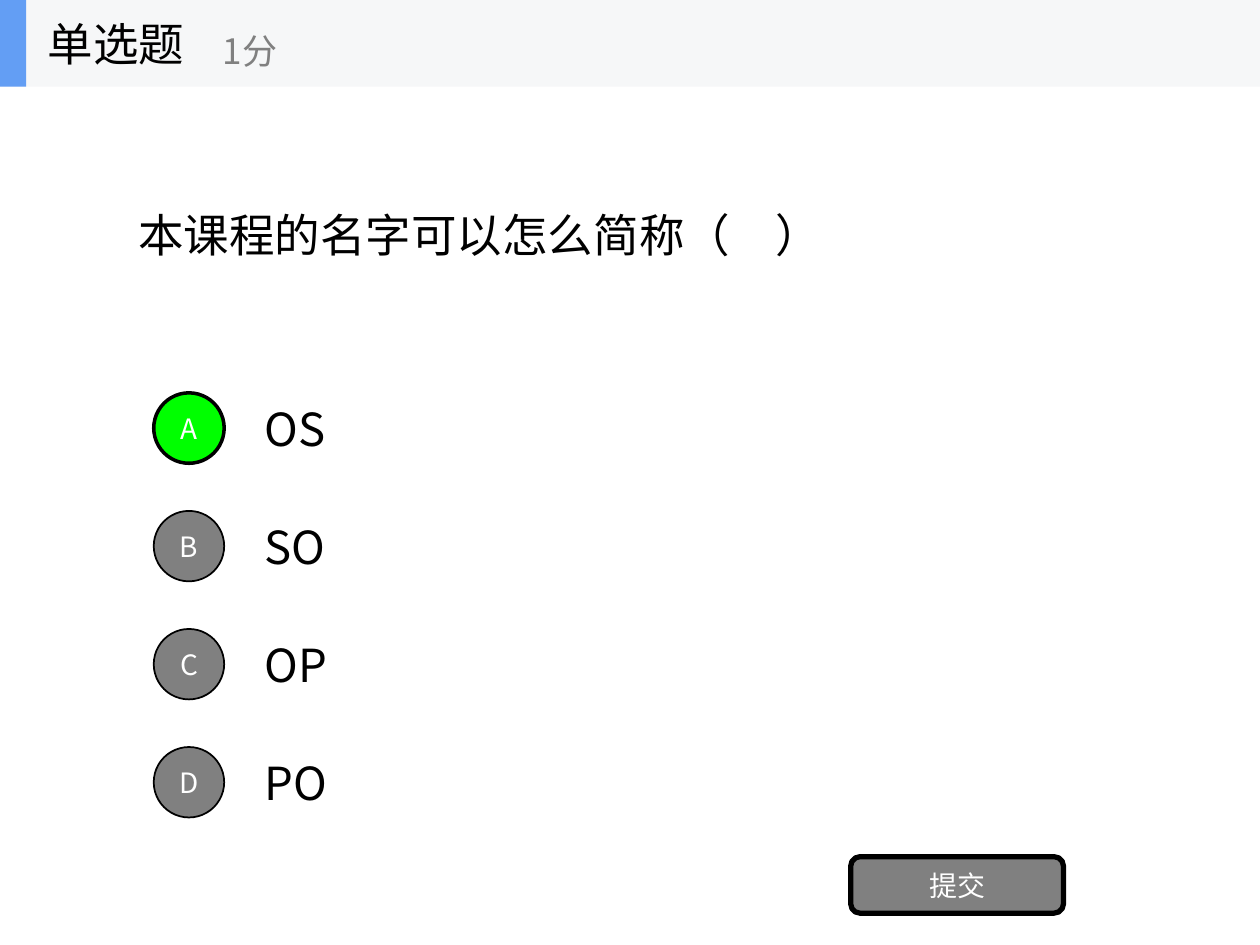
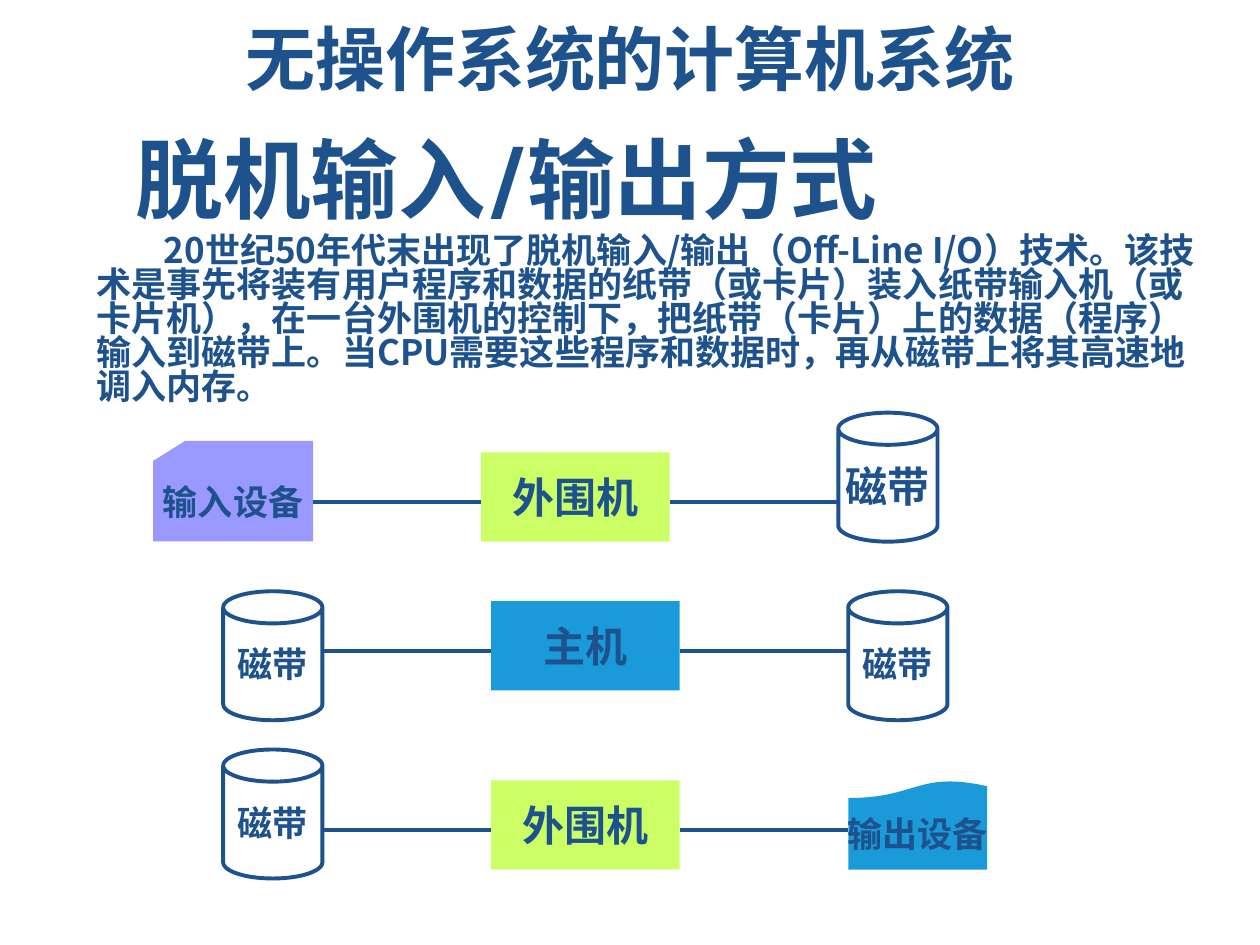
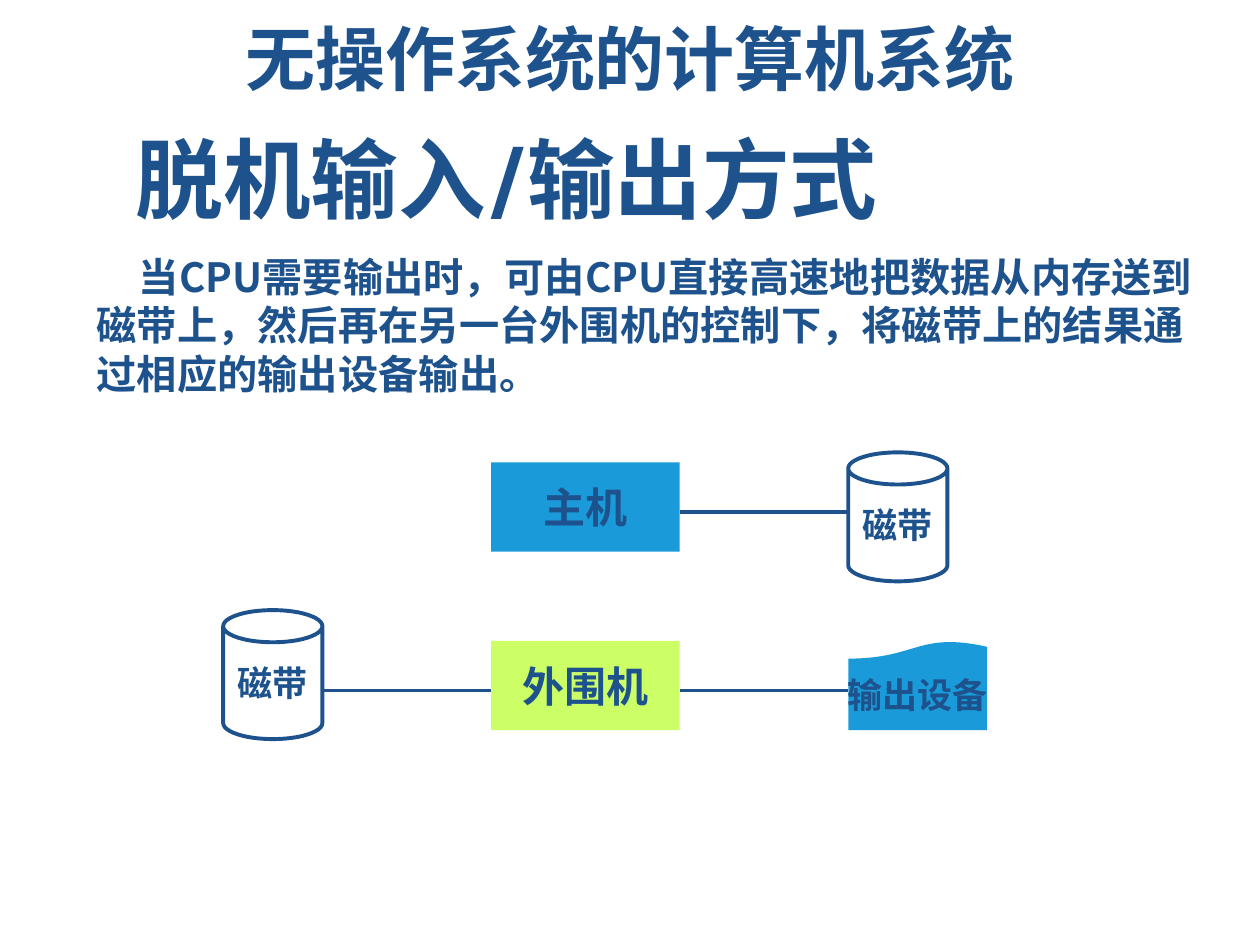
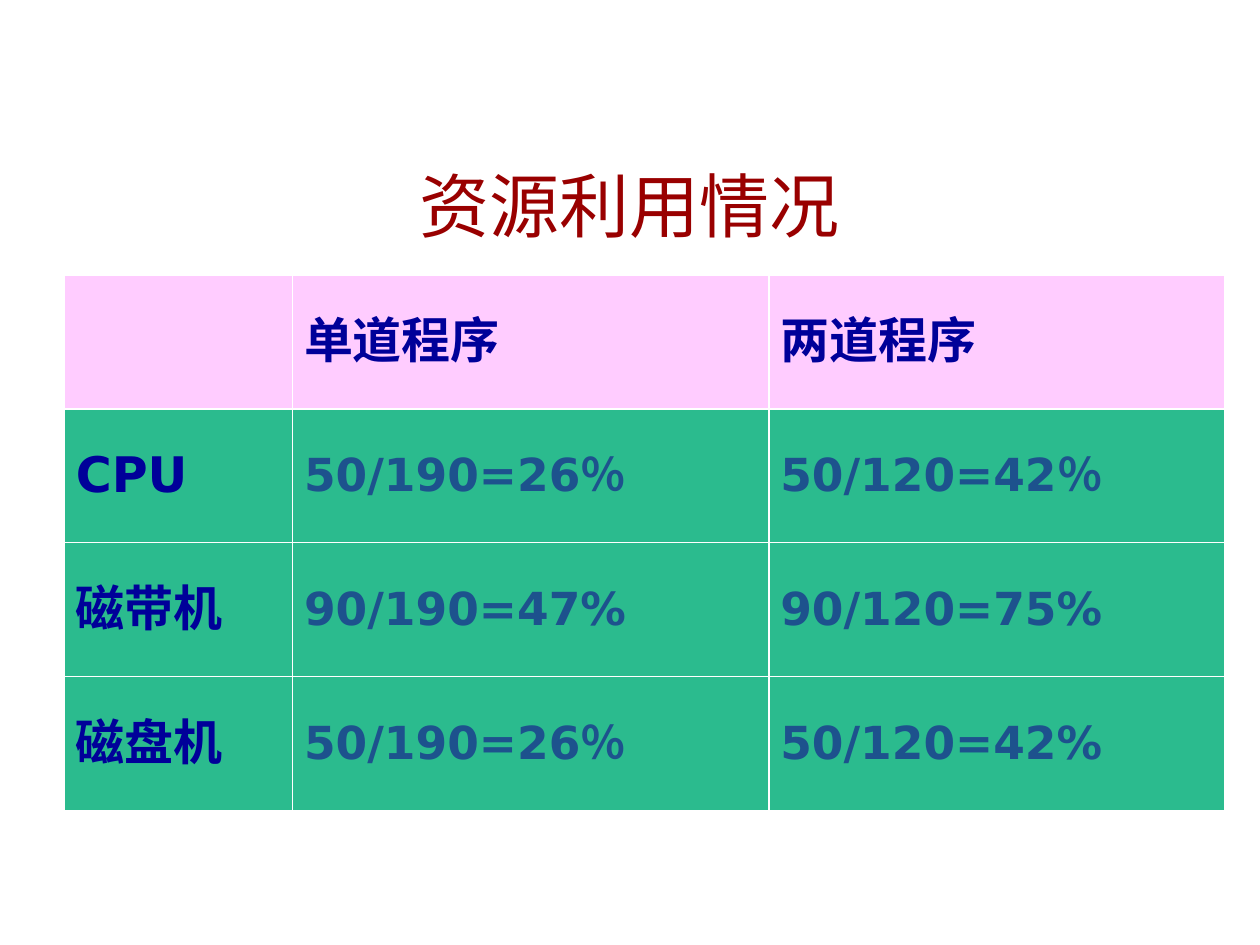
import dataclasses

import lxml.etree
import pptx
import pptx.dml.color
import pptx.enum.shapes
import pptx.enum.text
import pptx.oxml.ns
import pptx.util

SHAPE = pptx.enum.shapes.MSO_SHAPE
ANCHOR = pptx.enum.text.MSO_ANCHOR
ALIGN = pptx.enum.text.PP_ALIGN


@dataclasses.dataclass(frozen=True)
class Theme:
    black: str = "000000"
    white: str = "FFFFFF"
    gray: str = "808080"
    band: str = "F6F7F8"
    accent: str = "639EF4"
    correct: str = "00FF00"
    ink: str = "1D528D"
    blue: str = "1B9AD9"
    lime: str = "CCFF66"
    violet: str = "9999FF"
    red: str = "990000"
    navy: str = "000099"
    pink: str = "FFCCFF"
    green: str = "2BBB8E"
    cjk: str = "Noto Sans CJK SC"
    sans: str = "DejaVu Sans"
    label: str = "Karla"
    plain: str = "Arial"
    heading_size: float = 50
    title_size: float = 40
    table_head_size: float = 28
    quiz_size: float = 26
    machine_size: float = 24
    part_size: float = 20
    badge_size: float = 16
    line_width: float = 2.25


THEME = Theme()
INSETS = (0.25, 0.13, 0.25, 0.13)

# ---- Content ----
QUIZ = {
    "type": "单选题",
    "score": "1分",
    "question": "本课程的名字可以怎么简称（　）",
    "options": [("A", "OS"), ("B", "SO"), ("C", "OP"), ("D", "PO")],
    "answer": "A",
    "submit": "提交",
}

TITLE = "无操作系统的计算机系统"
HEADING = "脱机输入/输出方式"

# kind: preset, width, height (cm), fill, outline, outline width
PARTS = {
    "tape": (SHAPE.CAN, 2, 2.6, None, THEME.ink, THEME.line_width),
    "machine": (SHAPE.RECTANGLE, 3.8, 1.8, THEME.lime, None, 0),
    "host": (SHAPE.RECTANGLE, 3.8, 1.8, THEME.blue, None, 0),
    "input": (SHAPE.FLOWCHART_CARD, 3.2, 2, THEME.violet, THEME.violet, 0.75),
    "output": (SHAPE.FLOWCHART_DOCUMENT, 2.8, 1.8, THEME.blue, None, 0),
}

# part: kind, label, text size, rise of its top above the wire (cm)
MACHINE = ("machine", "外围机", THEME.machine_size, 1)
HOST = ("host", "主机", THEME.machine_size, 1)
INPUT = ("input", "输入设备", THEME.part_size, 1.22)
OUTPUT = ("output", "输出设备", THEME.part_size, 1)
BIG_TAPE = ("tape", "磁带", THEME.machine_size, 1.8)
HOST_TAPE = ("tape", "磁带", THEME.part_size, 1.2)
MACHINE_TAPE = ("tape", "磁带", THEME.part_size, 1.62)

# flow: height of the wire, sideways shift (cm), left, middle and right part
OFFLINE_SLIDES = [
    {
        "body": "20世纪50年代末出现了脱机输入/输出（Off-Line I/O）技术。该技术是事先将装有"
                "用户程序和数据的纸带（或卡片）装入纸带输入机（或卡片机），在一台外围机的控制下，"
                "把纸带（卡片）上的数据（程序）输入到磁带上。当CPU需要这些程序和数据时，"
                "再从磁带上将其高速地调入内存。",
        "place": (1.7, 4.52, 22.86, 3.81),
        "size": 20, "pitch": 19.4, "indent": 1.35, "inset_top": 0.25,
        "flows": [
            (10.12, -0.2, INPUT, MACHINE, BIG_TAPE),
            (13.12, 0, HOST_TAPE, HOST, HOST_TAPE),
            (16.73, 0, MACHINE_TAPE, MACHINE, OUTPUT),
        ],
    },
    {
        "body": "当CPU需要输出时，可由CPU直接高速地把数据从内存送到磁带上，然后再在另一台"
                "外围机的控制下，将磁带上的结果通过相应的输出设备输出。",
        "place": (1.7, 4.93, 22.86, 2.59),
        "size": 23, "pitch": 27.7, "indent": 0.85, "inset_top": 0.15,
        "flows": [
            (10.32, 0, None, HOST, HOST_TAPE),
            (13.92, 0, MACHINE_TAPE, MACHINE, OUTPUT),
        ],
    },
]

USAGE_TITLE = "资源利用情况"
USAGE = [
    ["", "单道程序", "两道程序"],
    ["CPU", "50/190=26％", "50/120=42％"],
    ["磁带机", "90/190=47%", "90/120=75%"],
    ["磁盘机", "50/190=26％", "50/120=42%"],
]
USAGE_COLUMNS = [4.6, 9.6, 9.2]
USAGE_ROW = 2.7


# ---- Helpers ----
def rgb(code):
    return pptx.dml.color.RGBColor.from_string(code)


def lengths(values):
    return [pptx.util.Cm(value) for value in values]


def child(parent, tag, **attributes):
    return lxml.etree.SubElement(parent, pptx.oxml.ns.qn(tag), attributes)


def write(frame, text, size, color, font, bold=False, align=ALIGN.LEFT):
    """Fill the frame's only paragraph, with one font for Latin and Chinese."""
    paragraph = frame.paragraphs[0]
    paragraph.text = text
    paragraph.alignment = align
    face = paragraph.font
    face.size = pptx.util.Pt(size)
    face.bold = bold
    face.color.rgb = rgb(color)
    face.name = font
    defaults = paragraph._p.pPr.find(pptx.oxml.ns.qn("a:defRPr"))
    child(defaults, "a:ea", typeface=font)
    return paragraph


def set_insets(holder, insets):
    (holder.margin_left, holder.margin_top,
     holder.margin_right, holder.margin_bottom) = lengths(insets)


def add_text(shapes, place, text, *style, anchor=ANCHOR.MIDDLE, insets=INSETS, **options):
    frame = shapes.add_textbox(*lengths(place)).text_frame
    frame.word_wrap = True
    frame.vertical_anchor = anchor
    set_insets(frame, insets)
    return write(frame, text, *style, **options)


def add_block(shapes, preset, place, fill=None, outline=None, width=1):
    block = shapes.add_shape(preset, *lengths(place))
    block.shadow.inherit = False
    if fill:
        block.fill.solid()
        block.fill.fore_color.rgb = rgb(fill)
    else:
        block.fill.background()
    if outline:
        block.line.color.rgb = rgb(outline)
        block.line.width = pptx.util.Pt(width)
    else:
        block.line.fill.background()
    return block


def caption(block, text, *style, **options):
    frame = block.text_frame
    frame.word_wrap = False
    frame.vertical_anchor = ANCHOR.MIDDLE
    set_insets(frame, (0, 0, 0, 0))
    write(frame, text, *style, align=ALIGN.CENTER, **options)


def add_wire(shapes, start, end, height):
    wire = shapes.add_connector(pptx.enum.shapes.MSO_CONNECTOR.STRAIGHT,
                                *lengths((start, height, end, height)))
    wire.line.color.rgb = rgb(THEME.ink)
    wire.line.width = pptx.util.Pt(THEME.line_width)
    child(wire._element.spPr, "a:effectLst")


# ---- Slides ----
def build_quiz(shapes):
    quiz_style = (THEME.quiz_size, THEME.black, THEME.cjk)
    badge_style = (THEME.badge_size, THEME.white, THEME.cjk)
    add_text(shapes, (2.54, 1.75, 20.32, 5.94), QUIZ["question"], *quiz_style)

    first_top, step, diameter, option_height = 7.92, 2.38, 1.42, 1.78
    for index, (letter, option) in enumerate(QUIZ["options"]):
        top = first_top + index * step
        option_top = top - (option_height - diameter) / 2
        add_text(shapes, (5.08, option_top, 17.78, option_height), option, *quiz_style)
        fill, width = (THEME.correct, 2) if letter == QUIZ["answer"] else (THEME.gray, 1)
        badge = add_block(shapes, SHAPE.OVAL, (3.1, top, diameter, diameter),
                          fill, THEME.black, width)
        caption(badge, letter, *badge_style)

    submit = add_block(shapes, SHAPE.ROUNDED_RECTANGLE, (17.15, 17.27, 4.29, 1.14),
                       THEME.gray, THEME.black, 3)
    caption(submit, QUIZ["submit"], *badge_style)

    header = shapes.add_group_shape().shapes
    add_block(header, SHAPE.RECTANGLE, (0, 0, 25.4, 1.75), THEME.band)
    add_block(header, SHAPE.RECTANGLE, (0, 0, 0.53, 1.75), THEME.accent)
    add_text(header, (0.71, 0, 5.28, 1.75), QUIZ["type"], *quiz_style)
    add_text(header, (4.24, 0.3, 6.35, 1.42), QUIZ["score"],
             THEME.part_size, THEME.gray, THEME.cjk)


def add_part(shapes, part, left, wire_height):
    kind, label, size, rise = part
    preset, width, height, fill, outline, line_width = PARTS[kind]
    block = add_block(shapes, preset, (left, wire_height - rise, width, height),
                      fill, outline, line_width)
    caption(block, label, size, THEME.ink, THEME.label, bold=True)
    if kind == "tape":
        block.adjustments[0] = 0.324
    elif kind == "output":
        block.rotation = 180
        block.text_frame._txBody.bodyPr.set("rot", "10800000")


def add_flow(shapes, wire_height, shift, left_part, middle_part, right_part):
    """Draw up to three parts in a row, with wires in the gaps between them."""
    left_end, middle_start, right_start = 6.5 + shift, 9.9 + shift, 17.1 + shift
    middle_end = middle_start + PARTS[middle_part[0]][1]
    if left_part:
        add_part(shapes, left_part, left_end - PARTS[left_part[0]][1], wire_height)
        add_wire(shapes, left_end, middle_start, wire_height)
    add_part(shapes, middle_part, middle_start, wire_height)
    add_part(shapes, right_part, right_start, wire_height)
    add_wire(shapes, middle_end, right_start, wire_height)


def build_offline(shapes, content):
    body = add_text(shapes, content["place"], content["body"], content["size"],
                    THEME.ink, THEME.cjk, bold=True, anchor=ANCHOR.TOP,
                    insets=(0.25, content["inset_top"], 0.25, 0.13))
    body.line_spacing = pptx.util.Pt(content["pitch"])
    body._p.pPr.set("indent", str(pptx.util.Cm(content["indent"])))
    add_text(shapes, (0.79, 2.39, 18.85, 2.36), HEADING, THEME.heading_size, THEME.ink,
             THEME.label, bold=True, align=ALIGN.CENTER, anchor=ANCHOR.TOP)
    add_text(shapes, (1.27, 0.43, 22.86, 1.57), TITLE, THEME.title_size, THEME.ink,
             THEME.sans, bold=True, align=ALIGN.CENTER, anchor=ANCHOR.BOTTOM,
             insets=(0, 0.13, 0, 0))
    for flow in content["flows"]:
        add_flow(shapes, *flow)


def add_borders(cell, color):
    properties = cell._tc.get_or_add_tcPr()
    for side in ("a:lnL", "a:lnR", "a:lnT", "a:lnB"):
        border = child(properties, side, w=str(pptx.util.Pt(1)))
        child(child(border, "a:solidFill"), "a:srgbClr", val=color)


def build_usage(shapes):
    add_text(shapes, (1.9, 2.54, 21.59, 3.18), USAGE_TITLE, THEME.title_size,
             THEME.red, THEME.plain, align=ALIGN.CENTER)
    place = (1.3, 5.54, sum(USAGE_COLUMNS), USAGE_ROW * len(USAGE))
    table = shapes.add_table(len(USAGE), len(USAGE_COLUMNS), *lengths(place)).table
    table.first_row = table.horz_banding = False
    for column, width in zip(table.columns, lengths(USAGE_COLUMNS)):
        column.width = width
    for row_index, row in enumerate(USAGE):
        table.rows[row_index].height = pptx.util.Cm(USAGE_ROW)
        for column_index, entry in enumerate(row):
            cell = table.cell(row_index, column_index)
            add_borders(cell, THEME.white)
            cell.fill.solid()
            cell.fill.fore_color.rgb = rgb(THEME.green if row_index else THEME.pink)
            cell.vertical_anchor = ANCHOR.MIDDLE
            set_insets(cell, (0.23, 0.1, 0.23, 0.1))
            if entry:
                is_value = row_index and column_index
                size, color = ((THEME.quiz_size, THEME.ink) if is_value
                               else (THEME.table_head_size, THEME.navy))
                write(cell.text_frame, entry, size, color, THEME.sans, bold=True)


def main():
    deck = pptx.Presentation()
    deck.slide_width, deck.slide_height = lengths((25.4, 19.05))
    blank = deck.slide_layouts[6]

    build_quiz(deck.slides.add_slide(blank).shapes)
    for content in OFFLINE_SLIDES:
        build_offline(deck.slides.add_slide(blank).shapes, content)
    build_usage(deck.slides.add_slide(blank).shapes)
    deck.save("out.pptx")


if __name__ == "__main__":
    main()
